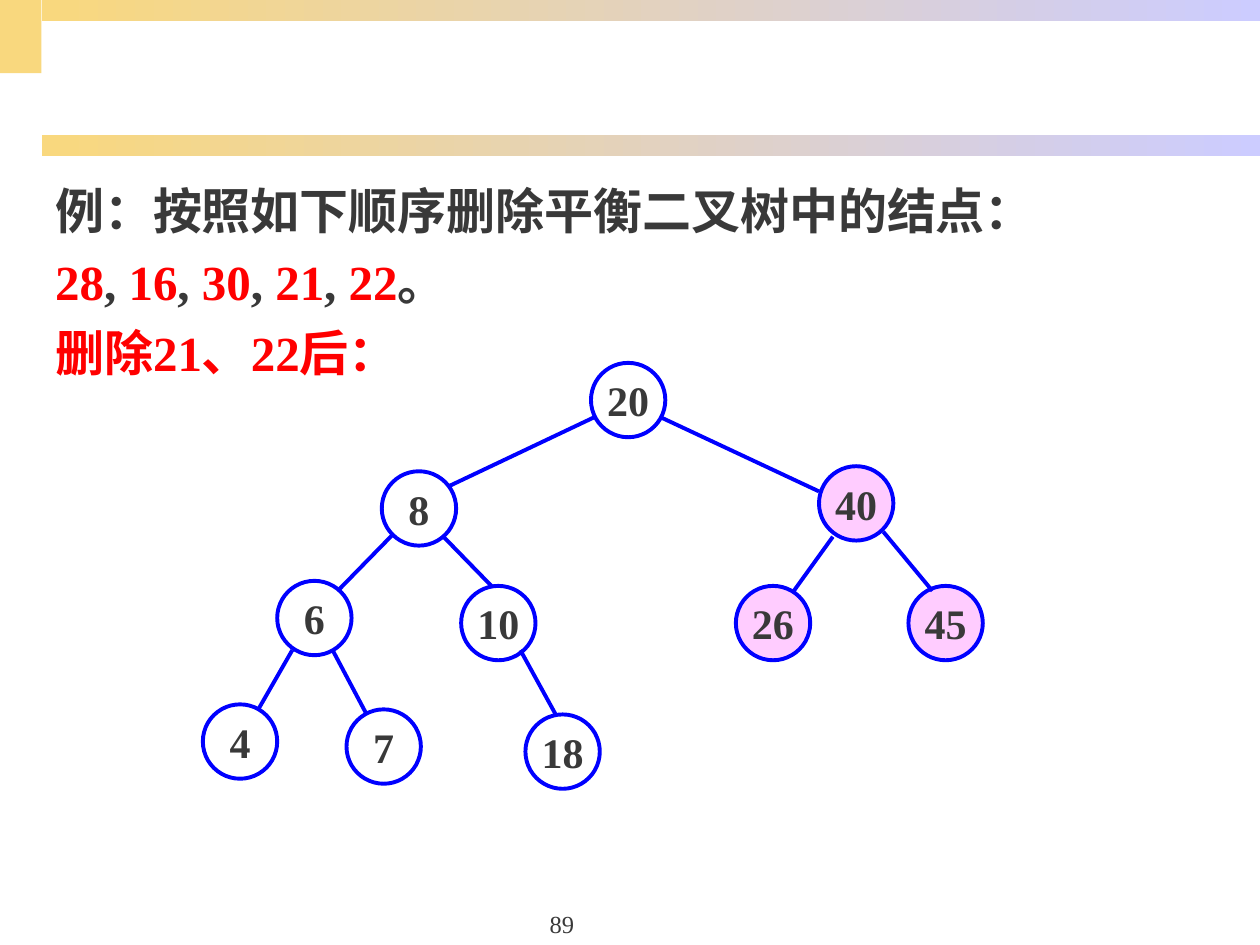
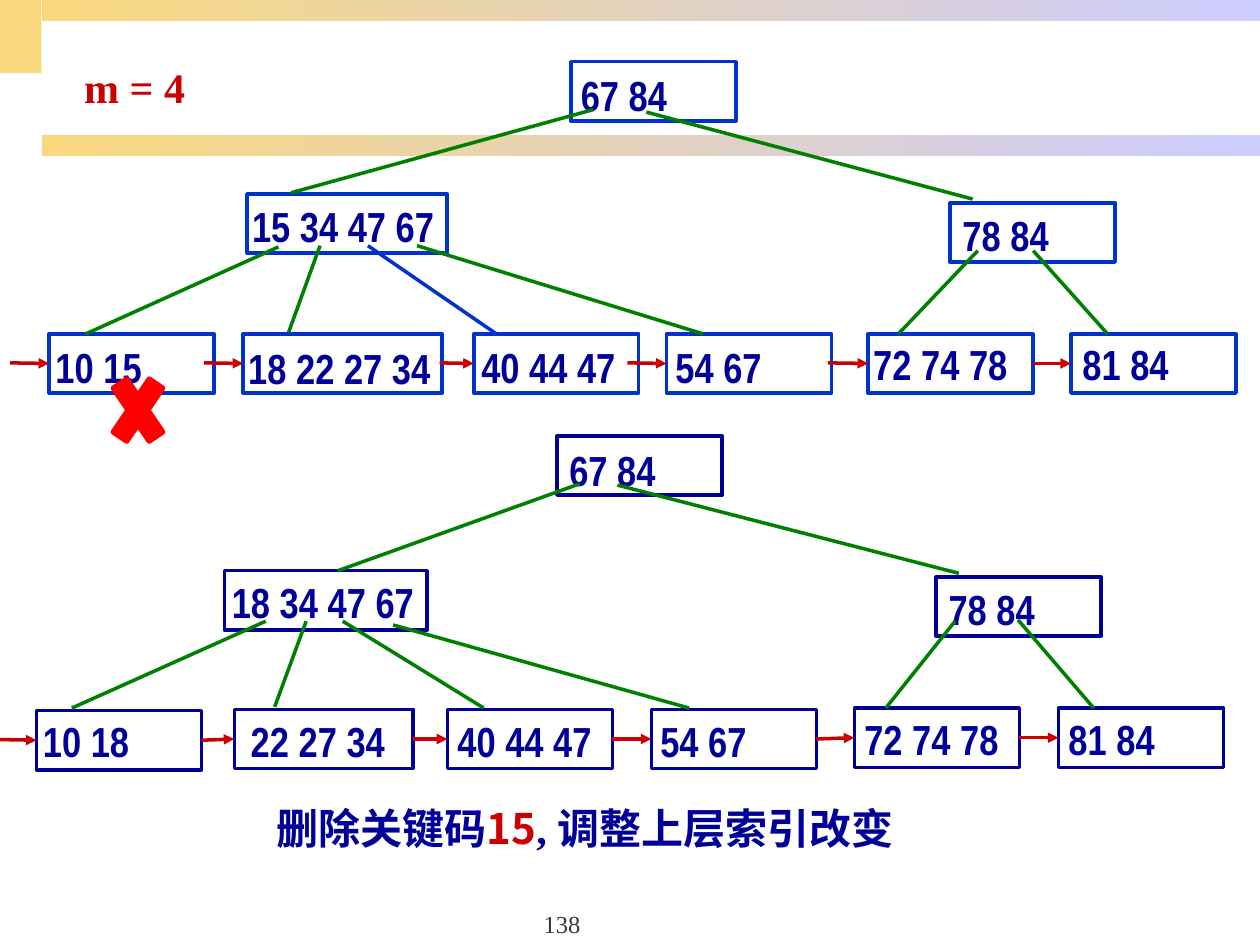
from lxml.etree import SubElement
from pptx import Presentation
from pptx.dml.color import RGBColor
from pptx.enum.shapes import MSO_CONNECTOR, MSO_SHAPE
from pptx.enum.text import MSO_ANCHOR, PP_ALIGN
from pptx.oxml.ns import qn
from pptx.util import Emu, Pt

PX = 9144
GOLD = RGBColor(0xF9, 0xD8, 0x7E)
LILAC = RGBColor(0xCC, 0xCC, 0xFF)
WHITE = RGBColor(0xFF, 0xFF, 0xFF)
PINK = RGBColor(0xFF, 0xCC, 0xFF)
GRAY = RGBColor(0x39, 0x39, 0x39)
RED = RGBColor(0xFF, 0x00, 0x00)
CRIMSON = RGBColor(0xCC, 0x00, 0x00)
BLUE = RGBColor(0x00, 0x00, 0xFF)
ROYAL = RGBColor(0x00, 0x33, 0xCC)
NAVY = RGBColor(0x00, 0x00, 0x99)
GREEN = RGBColor(0x00, 0x80, 0x00)
SERIF = "Times New Roman"
NARROW = "Arial Narrow"
CJK = "Noto Sans CJK SC"


def px(*values):
    return [Emu(v * PX) for v in values]


def set_format(obj, values):
    for name, value in values.items():
        setattr(obj, name, value)


class Deck:
    NODE = 59
    BOX_H = 47
    BODY = {"size": Pt(28), "bold": True, "name": SERIF}
    LABEL = {"size": Pt(24), "bold": True, "name": SERIF}
    KEYS = {"size": Pt(24), "bold": True, "name": NARROW}
    FOOTER = {"size": Pt(14), "bold": False, "name": SERIF}

    def __init__(self):
        self.prs = Presentation()
        set_format(self.prs, dict(zip(("slide_width", "slide_height"), px(1000, 750))))
        self.s = None

    def add_slide(self, number):
        self.s = self.prs.slides.add_slide(self.prs.slide_layouts[6])
        self.shape(MSO_SHAPE.RECTANGLE, (0, 0, 33, 58), fill=GOLD)
        for top in (107, 0):
            self.band(top)
        self.text((342, 700, 208, 50), [[(number, GRAY)]], self.FOOTER,
                  {"alignment": PP_ALIGN.CENTER}, {"vertical_anchor": MSO_ANCHOR.BOTTOM})

    def shape(self, kind, at, fill=None, line=None, width=2.0):
        sp = self.s.shapes.add_shape(kind, *px(*at))
        sp.shadow.inherit = False
        if fill is None:
            sp.fill.background()
        else:
            sp.fill.solid()
            sp.fill.fore_color.rgb = fill
        if line is None:
            sp.line.fill.background()
        else:
            sp.line.color.rgb = line
            sp.line.width = Pt(width)
        return sp

    def band(self, top):
        sp = self.shape(MSO_SHAPE.RECTANGLE, (33, top, 967, 17))
        sp.fill.gradient()
        sp.fill.gradient_angle = 0
        for stop, position, color in zip(sp.fill.gradient_stops, (0, 1), (GOLD, LILAC)):
            stop.position = position
            stop.color.rgb = color

    def fill_text(self, tf, paragraphs, font, para=None, frame=None):
        set_format(tf, {"word_wrap": True, **(frame or {})})
        for i, runs in enumerate(paragraphs):
            p = tf.add_paragraph() if i else tf.paragraphs[0]
            set_format(p, {"alignment": PP_ALIGN.LEFT, **(para or {})})
            for text, color, *name in runs:
                r = p.add_run()
                r.text = text
                set_format(r.font, font)
                if name:
                    r.font.name = name[0]
                r.font.color.rgb = color
                SubElement(r.font._element, qn("a:ea"), typeface=CJK)

    def text(self, at, paragraphs, font, para=None, frame=None):
        sp = self.s.shapes.add_textbox(*px(*at))
        self.fill_text(sp.text_frame, paragraphs, font, para, frame)

    def line(self, start, end, color, width=2.0, arrow=False):
        cxn = self.s.shapes.add_connector(MSO_CONNECTOR.STRAIGHT, *px(*start, *end))
        cxn.line.color.rgb = color
        cxn.line.width = Pt(width)
        if arrow:
            SubElement(cxn.line._get_or_add_ln(), qn("a:tailEnd"), type="triangle")
        SubElement(cxn._element.spPr, qn("a:effectLst"))
        return cxn

    def node(self, x, y, key, fill=None):
        sp = self.shape(MSO_SHAPE.OVAL, (x, y, self.NODE, self.NODE), fill, BLUE, 2.25)
        self.fill_text(sp.text_frame, [[(key, GRAY)]], self.LABEL,
                       {"alignment": PP_ALIGN.CENTER},
                       {"word_wrap": False, "vertical_anchor": MSO_ANCHOR.MIDDLE})

    def key_box(self, x, y, w, keys, inset, drop, line, fill=None):
        sp = self.shape(MSO_SHAPE.RECTANGLE, (x, y, w, self.BOX_H), fill, line)
        margins = zip(("margin_left", "margin_top", "margin_right", "margin_bottom"),
                      px(inset, drop, 0, 0))
        self.fill_text(sp.text_frame, [[(keys, NAVY)]], self.KEYS,
                       frame={"vertical_anchor": MSO_ANCHOR.TOP, **dict(margins)})
        return sp

    def leaf_chain(self, leaves, line):
        previous, right = None, None
        for start, x, y, w, keys, inset, drop in leaves:
            sp = self.key_box(x, y, w, keys, inset, drop, line)
            middle = y + self.BOX_H // 2
            cxn = self.line((start, middle), (x, middle), CRIMSON, arrow=True)
            cxn.end_connect(sp, 1)
            if start == right:
                cxn.begin_connect(previous, 3)
            previous, right = sp, x + w

    def index_tree(self, leaves, parents, edges, line):
        self.leaf_chain(leaves, line)
        for x, y, w, keys, inset, drop, fill in parents:
            self.key_box(x, y, w, keys, inset, drop, line, fill)
        for start, end, color in edges:
            self.line(start, end, color)


def balanced_tree_slide(deck):
    deck.add_slide("89")
    nodes = [
        (469, 288, "20"), (303, 374, "8"), (650, 370, "40", PINK),
        (220, 461, "6"), (366, 465, "10"), (584, 465, "26", PINK),
        (721, 465, "45", PINK), (417, 567, "18"), (161, 559, "4"), (275, 563, "7"),
    ]
    edges = [
        ((472, 331), (356, 386)), ((311, 425), (268, 469)), ((232, 516), (205, 563)),
        ((264, 516), (291, 567)), ((661, 426), (630, 469)), ((524, 331), (650, 390)),
        ((701, 422), (740, 469)), ((352, 426), (390, 465)), ((413, 516), (441, 567)),
    ]
    for node in nodes:
        deck.node(*node)
    for start, end in edges:
        deck.line(start, end, BLUE, 2.25)
    deleted = []
    for key in ("28", "16", "30", "21", "22"):
        deleted += [(key, RED), (", ", GRAY)]
    deleted[-1] = ("。", GRAY)
    deck.text((34, 128, 973, 145),
              [[("例：按照如下顺序删除平衡二叉树中的结点：", GRAY)], deleted,
               [("删除21、22后：", RED)]],
              deck.BODY, {"line_spacing": Pt(40.8)})


def index_tree_slide(deck):
    deck.add_slide("138")
    deck.text((57, 44, 156, 96), [[("m = 4", CRIMSON)]], deck.LABEL)
    deck.index_tree(
        [(8, 39, 265, 131, "10 15", 5, 6), (162, 193, 265, 158, "18 22 27 34", 4, 7),
         (349, 376, 265, 131, "40 44 47", 6, 6), (498, 529, 265, 131, "54 67", 7, 6),
         (657, 689, 265, 131, "72 74 78", 4, 4), (820, 850, 265, 131, "81 84", 9, 4)],
        [(196, 154, 159, "15 34 47 67", 4, 5, None),
         (754, 161, 131, "78 84", 10, 5, None), (453, 49, 131, "67 84", 8, 6, None)],
        [((221, 196), (68, 265), GREEN), ((254, 195), (229, 264), GREEN),
         ((292, 195), (394, 265), ROYAL), ((331, 195), (558, 265), GREEN),
         ((776, 199), (713, 265), GREEN), ((820, 199), (879, 265), GREEN),
         ((471, 87), (231, 153), GREEN), ((513, 89), (772, 158), GREEN)],
        ROYAL)
    deck.text((210, 632, 610, 66),
              [[("删除关键码", NAVY), ("15", CRIMSON, CJK), (", 调整上层索引改变", NAVY)]],
              deck.LABEL)
    deck.index_tree(
        [(0, 29, 564, 131, "10 18", 5, 4), (160, 186, 563, 142, "22 27 34", 13, 5),
         (328, 355, 563, 131, "40 44 47", 8, 5), (486, 517, 563, 131, "54 67", 7, 5),
         (648, 678, 562, 131, "72 74 78", 8, 4), (809, 840, 562, 131, "81 84", 8, 4)],
        [(178, 453, 161, "18 34 47 67", 6, 5, WHITE),
         (743, 458, 131, "78 84", 10, 5, None), (442, 346, 131, "67 84", 10, 7, None)],
        [((211, 493), (57, 562), GREEN), ((243, 493), (218, 561), GREEN),
         ((272, 493), (384, 562), GREEN), ((312, 496), (547, 562), GREEN),
         ((758, 493), (703, 562), GREEN), ((808, 492), (868, 562), GREEN),
         ((460, 384), (268, 453), GREEN), ((490, 385), (761, 455), GREEN)],
        NAVY)
    deck.shape(MSO_SHAPE.MATH_MULTIPLY, (82, 285, 55, 81), RED, RED, 3)


def main():
    deck = Deck()
    balanced_tree_slide(deck)
    index_tree_slide(deck)
    deck.prs.save("out.pptx")


if __name__ == "__main__":
    main()
